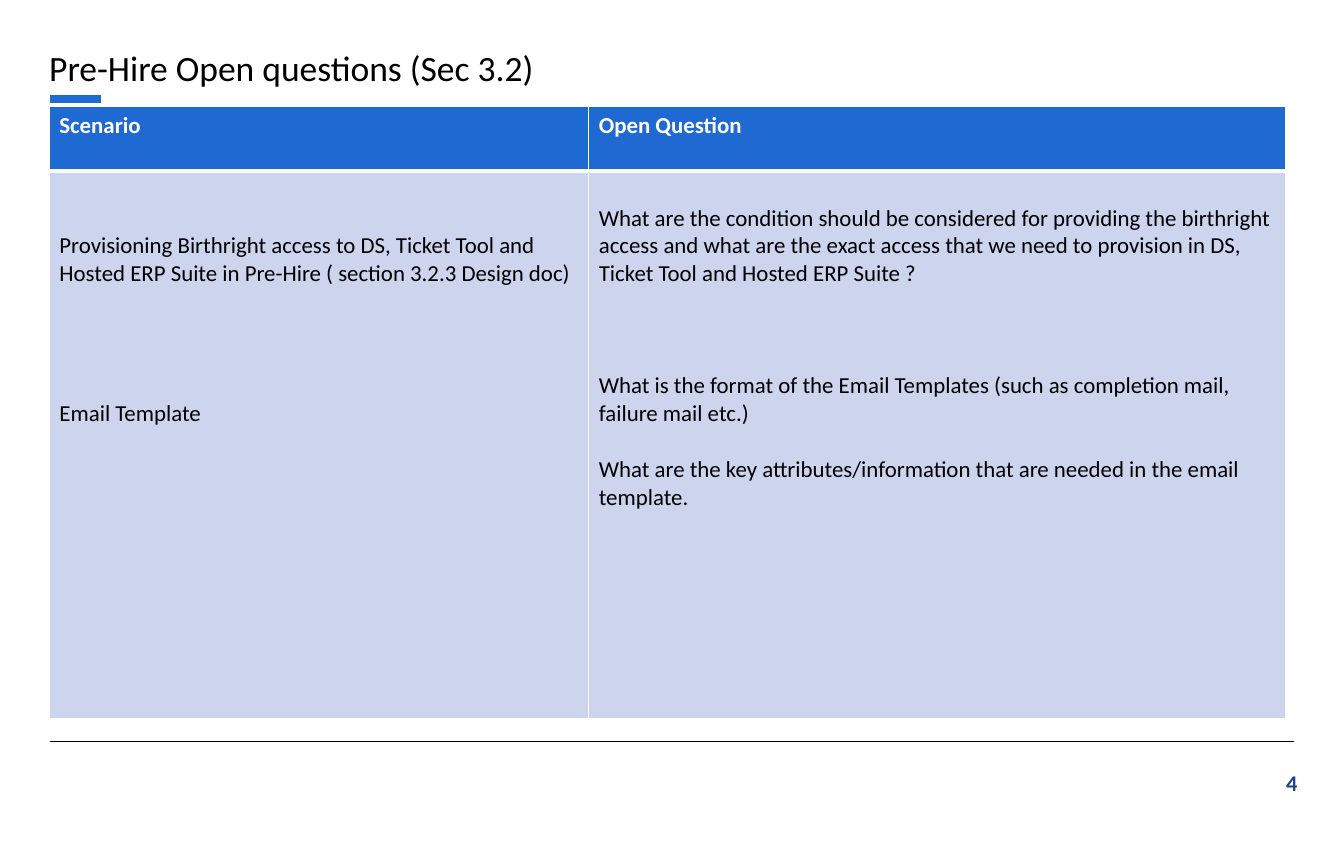
from dataclasses import dataclass

from lxml.etree import SubElement
from pptx import Presentation
from pptx.dml.color import RGBColor
from pptx.enum.shapes import MSO_CONNECTOR
from pptx.enum.text import PP_ALIGN
from pptx.oxml.ns import qn
from pptx.util import Inches, Pt

FONT = "Calibri"
BLACK, WHITE, BLUE, NAVY, PALE = "000000", "FFFFFF", "1E69D2", "1B4297", "CDD4EE"
LINE_PT = 22
COL_WIDTHS = (5.9, 7.62)
ROW_HEIGHTS = (0.71, 5.99)


@dataclass
class Rule:
    left: float
    right: float
    top: float
    color: str
    width: float


@dataclass
class Label:
    text: str
    box: tuple[float, float, float, float]
    size: float
    color: str
    bold: bool = False
    align: PP_ALIGN = PP_ALIGN.LEFT
    spacing: float = 1.0


@dataclass
class Entry:
    text: str
    lines_before: int = 0


RULES = [
    Rule(0.55, 14.15, 8.11, BLACK, 0.75),
    Rule(0.55, 1.1, 1.08, BLUE, 6),
]
LABELS = [
    Label("4", (13.48, 8.37, 0.81, 0.4), 17.6, NAVY, True, PP_ALIGN.RIGHT),
    Label("Pre-Hire Open questions (Sec 3.2)", (0.44, 0.51, 7.96, 0.77), 28, BLACK, spacing=0.9),
]
ROWS = [
    [[Entry("Scenario")], [Entry("Open Question")]],
    [
        [
            Entry("Provisioning Birthright access to DS, Ticket Tool and Hosted ERP Suite "
                  "in Pre-Hire ( section 3.2.3 Design doc)", 2),
            Entry("Email Template", 4),
        ],
        [
            Entry("What are the condition should be considered for providing the birthright "
                  "access and what are the exact access that we need to provision in DS, "
                  "Ticket Tool and Hosted ERP Suite ?", 1),
            Entry("What is the format of the Email Templates (such as completion mail, "
                  "failure mail etc.)", 3),
            Entry("What are the key attributes/information that are needed in the email "
                  "template.", 1),
        ],
    ],
]


def rgb(value: str) -> RGBColor:
    return RGBColor.from_string(value)


def style(p, size: float, color: str, bold: bool) -> None:
    for r in p.runs:
        r.font.name = FONT
        r.font.size = Pt(size)
        r.font.bold = bold
        r.font.color.rgb = rgb(color)


def draw_rule(s, rule: Rule) -> None:
    line = s.shapes.add_connector(MSO_CONNECTOR.STRAIGHT, Inches(rule.left), Inches(rule.top),
                                  Inches(rule.right), Inches(rule.top))
    line.line.color.rgb = rgb(rule.color)
    line.line.width = Pt(rule.width)
    SubElement(line._element.spPr, qn("a:effectLst"))


def draw_label(s, label: Label) -> None:
    tf = s.shapes.add_textbox(*map(Inches, label.box)).text_frame
    tf.word_wrap = True
    tf.text = label.text
    p = tf.paragraphs[0]
    p.alignment = label.align
    p.line_spacing = label.spacing
    style(p, label.size, label.color, label.bold)


def add_borders(cell, bottom: float) -> None:
    tc_pr = cell._tc.get_or_add_tcPr()
    for side, width in (("L", 1), ("R", 1), ("T", 1), ("B", bottom)):
        ln = SubElement(tc_pr, qn(f"a:ln{side}"), w=str(Pt(width)))
        fill = SubElement(ln, qn("a:solidFill"))
        SubElement(fill, qn("a:srgbClr"), val=WHITE)


def fill_cell(cell, entries: list[Entry], header: bool) -> None:
    add_borders(cell, 3 if header else 1)
    cell.fill.solid()
    cell.fill.fore_color.rgb = rgb(BLUE if header else PALE)
    cell.margin_left = cell.margin_right = Inches(0.11)
    cell.margin_top = Inches(0.06) + Pt(LINE_PT * entries[0].lines_before)
    cell.margin_bottom = Inches(0.06)
    tf = cell.text_frame
    for i, entry in enumerate(entries):
        p = tf.add_paragraph() if i else tf.paragraphs[0]
        p.text = entry.text
        if i:
            p.space_before = Pt(LINE_PT * entry.lines_before)
        style(p, 18, WHITE if header else BLACK, header)


def draw_table(s) -> None:
    table = s.shapes.add_table(len(ROWS), len(COL_WIDTHS), Inches(0.54), Inches(1.16),
                               Inches(sum(COL_WIDTHS)), Inches(sum(ROW_HEIGHTS))).table
    for column, width in zip(table.columns, COL_WIDTHS):
        column.width = Inches(width)
    for i, (row, height) in enumerate(zip(table.rows, ROW_HEIGHTS)):
        row.height = Inches(height)
        for cell, entries in zip(row.cells, ROWS[i]):
            fill_cell(cell, entries, header=i == 0)


def main() -> None:
    prs = Presentation()
    prs.slide_width, prs.slide_height = Inches(14.7), Inches(9.3)
    s = prs.slides.add_slide(prs.slide_layouts[6])
    for rule in RULES:
        draw_rule(s, rule)
    for label in LABELS:
        draw_label(s, label)
    draw_table(s)
    prs.save("out.pptx")


if __name__ == "__main__":
    main()
